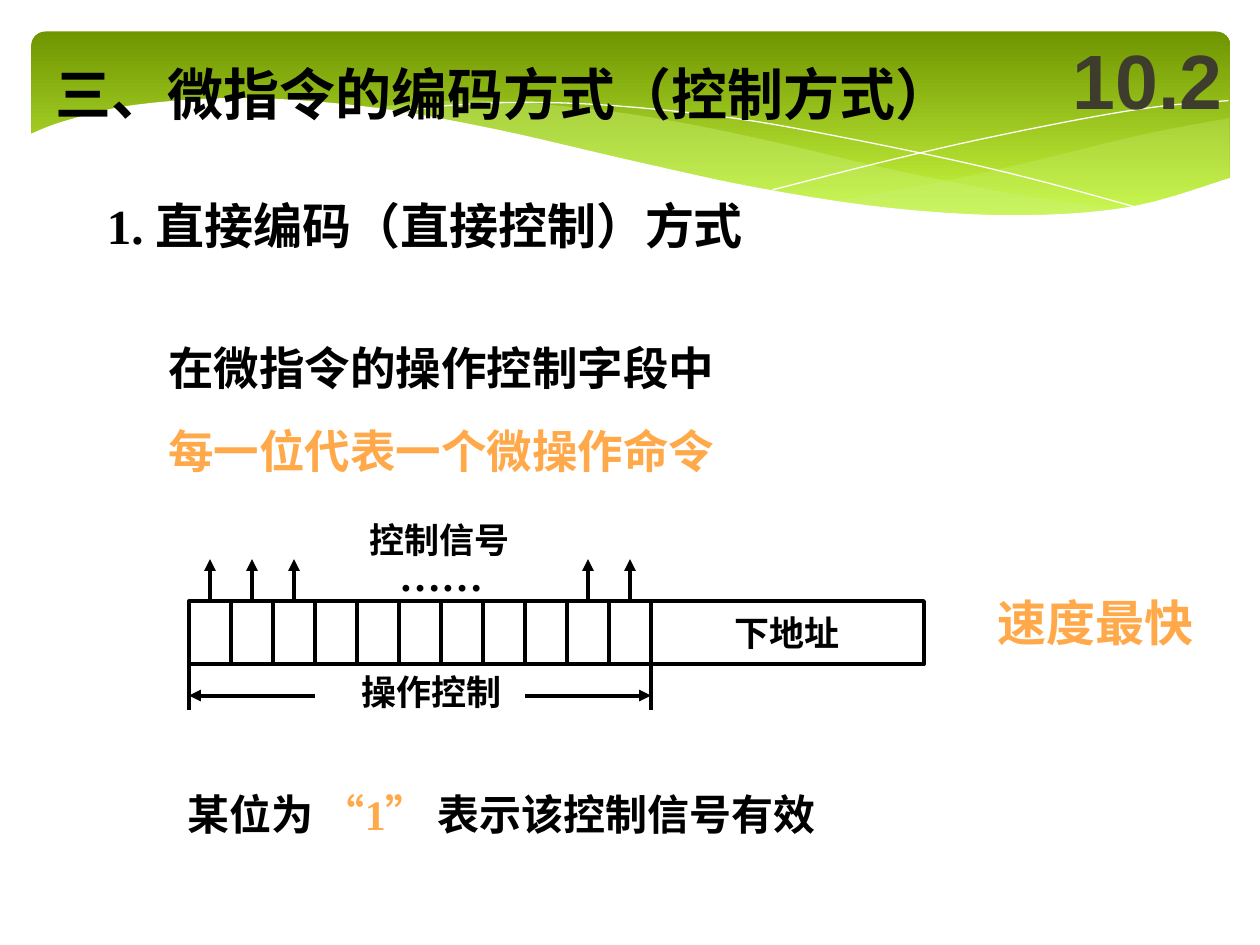
from lxml import etree
from pptx import Presentation
from pptx import util as u
from pptx.dml.color import RGBColor
from pptx.enum import shapes, text
from pptx.oxml.ns import qn

Pt = u.Pt
BLACK = RGBColor(0x00, 0x00, 0x00)
WHITE = RGBColor(0xFF, 0xFF, 0xFF)
ORANGE = RGBColor(0xFF, 0xA9, 0x4A)
OLIVE = RGBColor(0x3E, 0x3D, 0x2D)
GREEN_DARK = RGBColor(0x6F, 0x95, 0x00)
GREEN_LIGHT = RGBColor(0xD0, 0xFF, 0x44)
GREEN_PALE = RGBColor(0xCA, 0xF2, 0x78)
SANS, SERIF, ARIAL = "DejaVu Sans", "Times New Roman", "Arial"

WAVE = [(-1.5, 59), (19.5, 51), (58.5, 42), (121, 38), (192, 43), (263.5, 55.5),
        (344, 74), (416, 89.5), (492, 101), (564.5, 105), (629, 100), (685.5, 83.5)]
RIGHT_TOP = [(684.5, 49.5), (634.5, 59), (581, 72), (524, 85), (458, 97)]
RIGHT_BOTTOM = [(458, 97), (499, 102), (544.5, 106), (589.5, 105),
                (633.5, 99.5), (660, 93), (684.5, 83.5)]
MIDDLE_TOP = [(625, 102), (563, 93), (490, 78.5), (435, 65.5), (381.5, 54),
              (334, 46), (284.5, 41), (242, 39.5), (188, 44)]
MIDDLE_BOTTOM = [(188, 44), (242.5, 52), (305, 65.5), (363.5, 79), (427, 92),
                 (492.5, 101.5), (547, 106), (585.5, 106), (625, 102)]
FALLING = [(204.5, 47), (236, 42.5), (281.5, 40.5), (334, 42.5), (401, 49.5),
           (461, 60), (529, 74), (580.5, 86.5), (635, 101.5)]
RISING = [(423.5, 90.5), (482.5, 75.5), (540.5, 62), (605.5, 49),
          (647.5, 42.5), (684, 39.5)]


def smooth(knots, steps=5):
    ends = [knots[0], *knots, knots[-1]]
    points = [knots[0]]
    for a, b, c, d in zip(ends, ends[1:], ends[2:], ends[3:]):
        for i in range(1, steps + 1):
            t = i / steps
            points.append(tuple(
                (2 * q + (r - p) * t + (2 * p - 5 * q + 4 * r - w) * t ** 2
                 + (3 * q - p - 3 * r + w) * t ** 3) / 2
                for p, q, r, w in zip(a, b, c, d)))
    return points


def add_outline(s, left, top, points, fill=None, opacity=100):
    pts = [(Pt(left + x), Pt(top + y)) for x, y in points]
    fb = s.shapes.build_freeform(*pts[0])
    fb.add_line_segments(pts[1:], close=fill is not None)
    sp = fb.convert_to_shape()
    sp.shadow.inherit = False
    if fill is None:
        sp.fill.background()
        sp.line.color.rgb = WHITE
        sp.line.width = Pt(0)
        return
    sp.fill.solid()
    sp.fill.fore_color.rgb = fill
    sp.line.fill.background()
    if opacity < 100:
        clr = sp.fill._xPr.find(".//" + qn("a:srgbClr"))
        etree.SubElement(clr, qn("a:alpha"), val=str(opacity * 1000))


def add_banner(s, left, top, width, height):
    sp = s.shapes.add_shape(shapes.MSO_SHAPE.ROUNDED_RECTANGLE,
                            Pt(left), Pt(top), Pt(width), Pt(height))
    sp.adjustments[0] = 0.07
    sp.shadow.inherit = False
    sp.line.fill.background()
    sp.fill.gradient()
    sp.fill.gradient_angle = 270
    for stop, color in zip(sp.fill.gradient_stops, (GREEN_DARK, GREEN_LIGHT)):
        stop.color.rgb = color
    add_outline(s, left, top, smooth(RIGHT_TOP) + smooth(RIGHT_BOTTOM), GREEN_PALE, 29)
    add_outline(s, left, top, smooth(MIDDLE_TOP) + smooth(MIDDLE_BOTTOM), GREEN_PALE, 40)
    add_outline(s, left, top, smooth(FALLING))
    add_outline(s, left, top, smooth(RISING))
    corners = [(685.5, 143.5), (-1.5, 143.5)]
    add_outline(s, left, top, smooth(WAVE) + corners, WHITE)


def write(p, runs, size, font):
    for words, color, *own_font in runs:
        r = p.add_run()
        r.text = words
        r.font.color.rgb = color
        if own_font:
            r.font.name = own_font[0]
    p.font.size = Pt(size)
    p.font.bold = True
    p.font.name = font


def add_text(s, left, top, width, height, lines, size, font,
             space=0, indent=0, anchor=text.MSO_ANCHOR.TOP):
    sp = s.shapes.add_textbox(Pt(left), Pt(top), Pt(width), Pt(height))
    tf = sp.text_frame
    tf.word_wrap = True
    tf.vertical_anchor = anchor
    for i, runs in enumerate(lines):
        p = tf.add_paragraph() if i else tf.paragraphs[0]
        if i:
            p.space_before = Pt(space)
        if indent:
            p._p.get_or_add_pPr().set("marL", str(Pt(indent)))
        write(p, runs, size, font)


def add_title(s, left, top, width, height):
    sp = s.shapes.title
    sp.left, sp.top, sp.width, sp.height = map(Pt, (left, top, width, height))
    s.shapes._spTree.append(sp._element)
    tf = sp.text_frame
    tf.word_wrap = True
    tf.auto_size = text.MSO_AUTO_SIZE.NONE
    tf.vertical_anchor = text.MSO_ANCHOR.TOP
    p = tf.paragraphs[0]
    p.alignment = text.PP_ALIGN.LEFT
    write(p, [("三、微指令的编码方式（控制方式）", BLACK)], 32, SANS)


def add_line(s, x1, y1, x2, y2, arrow=False):
    cn = s.shapes.add_connector(shapes.MSO_CONNECTOR.STRAIGHT,
                                Pt(x1), Pt(y1), Pt(x2), Pt(y2))
    cn.line.color.rgb = BLACK
    cn.line.width = Pt(2.25)
    if arrow:
        etree.SubElement(cn.line._get_or_add_ln(), qn("a:tailEnd"), type="triangle")
    etree.SubElement(cn._element.spPr, qn("a:effectLst"))


def add_field(s, left, top, width, height):
    sp = s.shapes.add_shape(shapes.MSO_SHAPE.RECTANGLE,
                            Pt(left), Pt(top), Pt(width), Pt(height))
    sp.shadow.inherit = False
    sp.fill.background()
    sp.line.color.rgb = BLACK
    sp.line.width = Pt(2.25)
    return sp


def add_instruction(s, left, top, width, height):
    bits, cell = 11, 24
    split, bottom = left + bits * cell, top + height
    for i in range(bits):
        add_field(s, left + i * cell, top, cell, height)
    tf = add_field(s, split, top, width - bits * cell, height).text_frame
    tf.vertical_anchor = text.MSO_ANCHOR.MIDDLE
    tf.paragraphs[0].alignment = text.PP_ALIGN.CENTER
    write(tf.paragraphs[0], [("下地址", BLACK)], 20, SERIF)
    for i in (0, 1, 2, 9, 10):
        x = left + (i + 0.5) * cell
        add_line(s, x, top, x, top - cell, arrow=True)
    add_text(s, left + 113, top - 33, 70, 36, [[("……", BLACK)]], 24, SERIF)
    add_text(s, left + 96, top - 50.5, 102, 31.5, [[("控制信号", BLACK)]], 20, SERIF)
    for edge, inner in ((left, left + 3 * cell), (split, split - 3 * cell)):
        add_line(s, edge, bottom, edge, bottom + 26.5)
        add_line(s, inner, bottom + 18, edge, bottom + 18, arrow=True)
    add_text(s, left + 91.5, bottom, 102, 31.5, [[("操作控制", BLACK)]], 20, SERIF)


def main():
    prs = Presentation()
    prs.slide_width, prs.slide_height = Pt(720), Pt(540)
    s = prs.slides.add_slide(prs.slide_layouts[5])
    add_banner(s, 18, 18, 685, 112)
    add_title(s, 24.5, 30.5, 545, 46)
    add_text(s, 54, 108, 556, 41,
             [[("1. ", BLACK, SERIF), ("直接编码（直接控制）方式", BLACK)]],
             28, SANS)
    add_text(s, 54, 191, 578, 86,
             [[("在微指令的操作控制字段中", BLACK)], [("每一位代表一个微操作命令", ORANGE)]],
             26, SANS, space=16.2, indent=35)
    add_text(s, 563, 335, 134, 41, [[("速度最快", ORANGE)]], 28, SANS)
    add_instruction(s, 108, 343.5, 420, 36)
    add_text(s, 100, 447, 400, 36,
             [[("某位为 ", BLACK), ("“1”", ORANGE), (" 表示该控制信号有效", BLACK)]],
             24, SERIF)
    add_text(s, 606, 12, 114, 66, [[("10.2", OLIVE)]], 44, ARIAL,
             anchor=text.MSO_ANCHOR.MIDDLE)
    prs.save("out.pptx")


if __name__ == "__main__":
    main()
